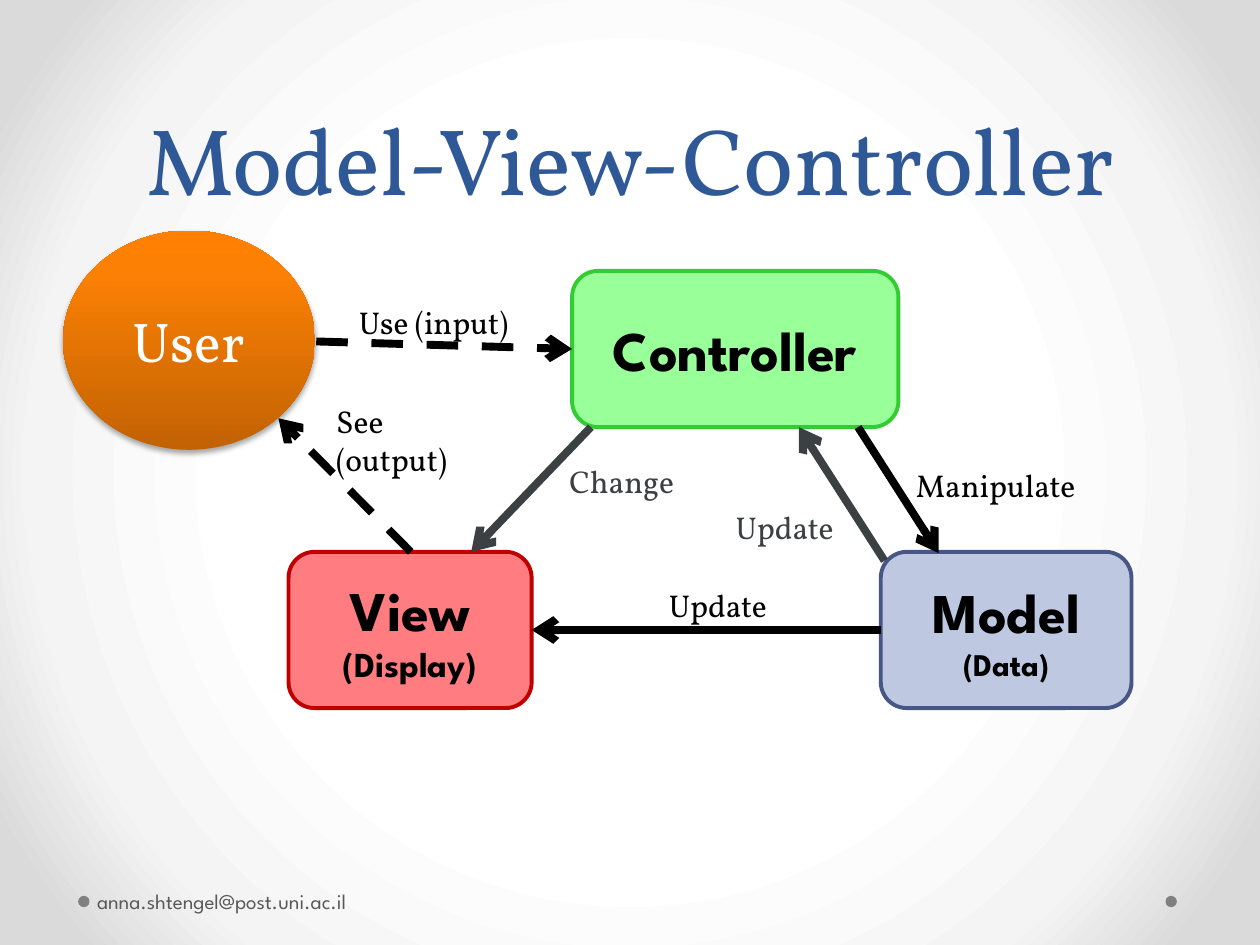
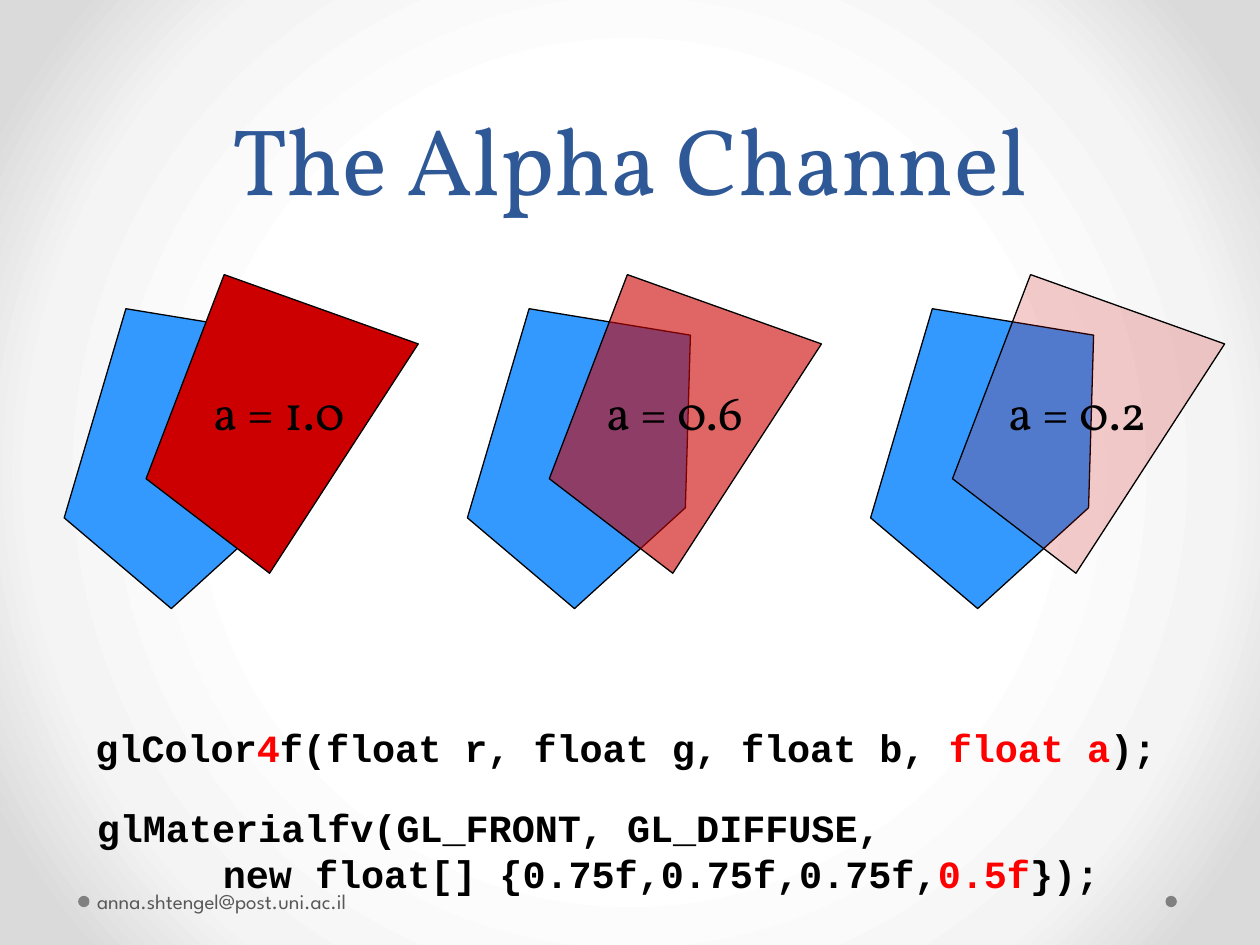
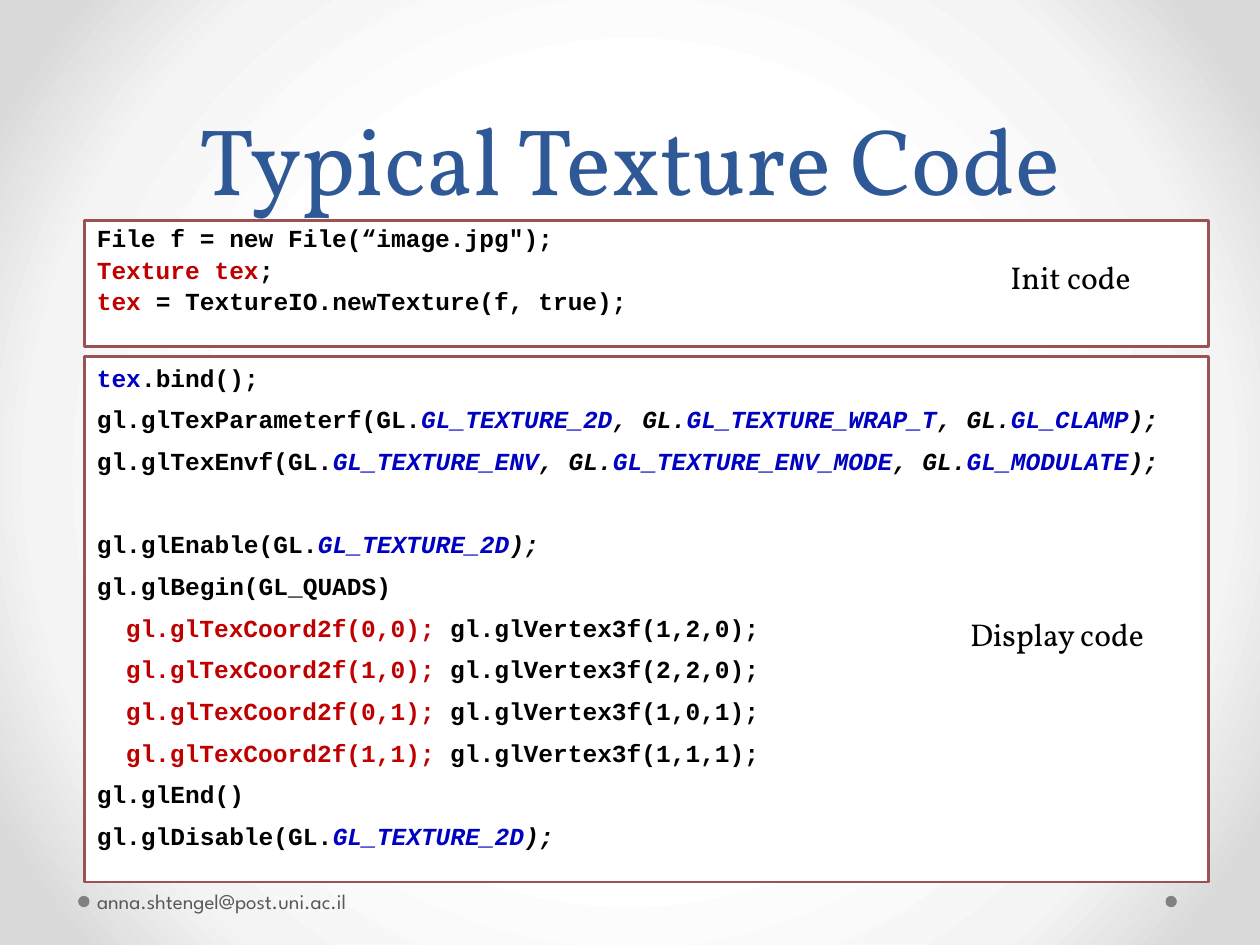
import pptx
import pptx.dml.color
import pptx.enum.dml
import pptx.enum.shapes
import pptx.enum.text
import pptx.oxml
import pptx.oxml.ns
import pptx.util
from lxml import etree

Inches = pptx.util.Inches
Pt = pptx.util.Pt
RGB = pptx.dml.color.RGBColor.from_string
qn = pptx.oxml.ns.qn
KIND = pptx.enum.shapes.MSO_SHAPE
LINK = pptx.enum.shapes.MSO_CONNECTOR.STRAIGHT
DASH = pptx.enum.dml.MSO_LINE.DASH
ALIGN = pptx.enum.text.PP_ALIGN
ANCHOR = pptx.enum.text.MSO_ANCHOR

INK = {
    "black": "000000", "white": "FFFFFF", "title": "2F5897", "foot": "595959",
    "dot": "808080", "slate": "3B4042", "red": "FF0000", "brick": "C00000",
    "navy": "0000C0", "frame": "9C5252", "sky": "3399FF", "ruby": "CC0000",
    "model": "BFC8E1", "model edge": "475785", "view": "FF7C80",
    "control": "99FF99", "control edge": "33CC33",
    "pale": "F4F4F4", "grey": "DADADA",
    "rust": "C26203", "orange": "FB8004", "bright": "FF8002",
}
SERIF, SANS, CODE = "Vollkorn", "League Spartan", "Courier New"


def write(shape, lines, size, face=SERIF, ink="black", bold=False, align=ALIGN.LEFT):
    """Each line is a string or (tone, string); parts between ~ take the tone.

    After plain code, navy constants turn the rest of the line italic."""
    frame = shape.text_frame
    for k, line in enumerate(lines):
        tone, text = (ink, line) if isinstance(line, str) else line
        para = frame.paragraphs[0] if k == 0 else frame.add_paragraph()
        para.alignment = align
        para.font.size = Pt(size)
        para.font.name = face
        para.font.bold = bold
        parts = text.split("~")
        for n, part in enumerate(parts):
            if part:
                run = para.add_run()
                run.text = part
                run.font.color.rgb = RGB(INK[tone if n % 2 else ink])
                if n and parts[0] and tone == "navy":
                    run.font.italic = True
    return frame


def shade(node, stops, aim):
    """Give the first gradient in node these stops and this direction element."""
    grad = next(node.iter(qn("a:gradFill")))
    grad.clear()
    row = etree.SubElement(grad, qn("a:gsLst"))
    for pos, ink in stops:
        stop = etree.SubElement(row, qn("a:gs"), pos=str(pos * 1000))
        etree.SubElement(stop, qn("a:srgbClr"), val=INK[ink])
    grad.append(pptx.oxml.parse_xml(aim))


NS = pptx.oxml.ns.nsdecls("a")
deck = pptx.Presentation()
deck.slide_width, deck.slide_height = Inches(10), Inches(7.5)

# Shared background, titles, dots and footers
master = deck.slide_master
master.background.fill.gradient()
shade(master.element, [(50, "white"), (76, "pale"), (92, "grey")],
      f'<a:path {NS} path="circle"><a:fillToRect l="50000" t="50000" r="50000" b="50000"/></a:path>')

slides = []
for title in ["Model-View-Controller", "The Alpha Channel", "Typical Texture Code"]:
    slide = deck.slides.add_slide(deck.slide_layouts[6])
    slides.append(slide)
    for x in (9.25, 0.62):
        dot = slide.shapes.add_shape(KIND.OVAL, Inches(x), Inches(7.11), Inches(0.09), Inches(0.09))
        dot.shadow.inherit = False
        dot.fill.solid()
        dot.fill.fore_color.rgb = RGB(INK["dot"])
        dot.line.fill.background()
    head = slide.shapes.add_textbox(Inches(0.5), 0, Inches(9), Inches(1.75))
    frame = write(head, [title], 54, ink="title", align=ALIGN.CENTER)
    frame.word_wrap = True
    frame.vertical_anchor = ANCHOR.BOTTOM
    frame.paragraphs[0].line_spacing = Pt(58)
    foot = slide.shapes.add_textbox(Inches(0.72), Inches(6.95), Inches(3.11), Inches(0.4))
    frame = write(foot, ["anna.shtengel@post.uni.ac.il"], 12, SANS, "foot")
    frame.word_wrap = True
    frame.vertical_anchor = ANCHOR.MIDDLE
    frame.margin_left = Inches(0.05)
mvc, alpha, code = [slide.shapes for slide in slides]

# Slide 1: boxes, user, arrows and their labels
for x, y, w, fill, edge, lines, sub in [
    (6.99, 4.38, 1.99, "model", "model edge", ["Model", "(Data)"], 18),
    (2.29, 4.38, 1.93, "view", "brick", ["View", "(Display)"], 20),
    (4.54, 2.15, 2.59, "control", "control edge", ["Controller"], 32),
]:
    box = mvc.add_shape(KIND.ROUNDED_RECTANGLE, Inches(x), Inches(y), Inches(w), Inches(1.24))
    box.shadow.inherit = False
    box.fill.solid()
    box.fill.fore_color.rgb = RGB(INK[fill])
    box.line.color.rgb = RGB(INK[edge])
    box.line.width = Pt(2.25)
    frame = write(box, lines, 32, SANS, bold=True, align=ALIGN.CENTER)
    frame.vertical_anchor = ANCHOR.MIDDLE
    frame.paragraphs[-1].font.size = Pt(sub)

user = mvc.add_shape(KIND.OVAL, Inches(0.5), Inches(1.83), Inches(2), Inches(1.74))
user.line.fill.background()
user.fill.gradient()
shade(user.element, [(0, "rust"), (80, "orange"), (100, "bright")],
      f'<a:lin {NS} ang="16200000" scaled="0"/>')
user.element.spPr.append(pptx.oxml.parse_xml(
    f'<a:effectLst {NS}><a:outerShdw blurRad="{Pt(3.1)}" dist="{Pt(1.8)}" dir="5400000" rotWithShape="0">'
    '<a:srgbClr val="000000"><a:alpha val="35000"/></a:srgbClr></a:outerShdw></a:effectLst>'))
write(user, ["User"], 32, ink="white", align=ALIGN.CENTER).vertical_anchor = ANCHOR.MIDDLE

for x1, y1, x2, y2, ink, dash in [
    (6.99, 5, 4.22, 5, "black", None),
    (6.81, 3.39, 7.45, 4.39, "black", None),
    (2.51, 2.71, 4.54, 2.77, "black", DASH),
    (3.26, 4.38, 2.21, 3.32, "black", DASH),
    (4.69, 3.39, 3.74, 4.38, "slate", None),
    (7.02, 4.45, 6.34, 3.39, "slate", None),
]:
    link = mvc.add_connector(LINK, Inches(x1), Inches(y1), Inches(x2), Inches(y2))
    link.line.color.rgb = RGB(INK[ink])
    link.line.width = Pt(4.5)
    if dash:
        link.line.dash_style = dash
    etree.SubElement(link.line._get_or_add_ln(), qn("a:tailEnd"), type="arrow")
    etree.SubElement(link.element.spPr, qn("a:effectLst"))

for text, x, y, w, h, ink, align in [
    ("Manipulate", 7.17, 3.65, 2.05, 0.4, "black", ALIGN.LEFT),
    ("Update", 5.21, 4.6, 1.28, 0.4, "black", ALIGN.LEFT),
    ("Use (input)", 2.75, 2.36, 1.58, 0.4, "black", ALIGN.LEFT),
    ("See (output)", 2.57, 3.14, 1.39, 0.71, "black", ALIGN.LEFT),
    ("Change", 4.42, 3.62, 2.05, 0.4, "slate", ALIGN.LEFT),
    ("Update", 5.74, 3.98, 1.28, 0.4, "slate", ALIGN.LEFT),
]:
    label = mvc.add_textbox(Inches(x), Inches(y), Inches(w), Inches(h))
    write(label, [text], 18, ink=ink, align=align).word_wrap = True

# Slide 2: the same pair of outlines at three opacities
BACK = [(0.51, 4.11), (1, 2.45), (2.28, 2.66), (2.24, 4.03), (1.36, 4.83)]
FRONT = [(2.14, 4.55), (1.16, 3.8), (1.78, 2.18), (3.32, 2.73)]
for k, (level, left) in enumerate([(1.0, 1.48), (0.6, 1.42), (0.2, 1.42)]):
    shift = 3.2 * k
    group = alpha.add_group_shape().shapes
    for points, ink, part in [(BACK, "sky", 1), (FRONT, "ruby", level)]:
        spots = [(Inches(x + shift), Inches(y)) for x, y in points]
        pen = group.build_freeform(*spots[0])
        pen.add_line_segments(spots[1:], close=True)
        poly = pen.convert_to_shape()
        poly.shadow.inherit = False
        poly.fill.solid()
        poly.fill.fore_color.rgb = RGB(INK[ink])
        poly.line.color.rgb = RGB(INK["black"])
        poly.line.width = Pt(0.75)
        if part < 1:
            tint = next(poly.element.spPr.iter(qn("a:srgbClr")))
            etree.SubElement(tint, qn("a:alpha"), val=str(round(part * 100000)))
    label = group.add_textbox(Inches(left + shift), Inches(2.98), Inches(1.47), Inches(0.57))
    write(label, [f"a = {level}"], 28, align=ALIGN.CENTER).word_wrap = True

for x, y, w, h, lines in [
    (0.66, 5.7, 8.67, 0.47, [("red", "glColor~4~f(float r, float g, float b, ~float a~);")]),
    (0.67, 6.33, 9.42, 0.84, ["glMaterialfv(GL_FRONT, GL_DIFFUSE,",
                              ("red", "new float[] {0.75f,0.75f,0.75f,~0.5f~});")]),
]:
    call = alpha.add_textbox(Inches(x), Inches(y), Inches(w), Inches(h))
    frame = write(call, lines, 22, CODE, bold=True)
    frame.word_wrap = True
    for para in frame.paragraphs[1:]:
        para._p.get_or_add_pPr().set("marL", str(Inches(1)))

# Slide 3: framed code with captions
INIT = ["File f = new File(“image.jpg\");",
        ("brick", "~Texture tex~;"),
        ("brick", "~tex~ = TextureIO.newTexture(f, true);")]
QUAD = [("0,0", "1,2,0"), ("1,0", "2,2,0"), ("0,1", "1,0,1"), ("1,1", "1,1,1")]
SHOW = [("navy", "~tex~.bind();"),
        ("navy", "gl.glTexParameterf(GL.~GL_TEXTURE_2D~, GL.~GL_TEXTURE_WRAP_T~, GL.~GL_CLAMP~);"),
        ("navy", "gl.glTexEnvf(GL.~GL_TEXTURE_ENV~, GL.~GL_TEXTURE_ENV_MODE~, GL.~GL_MODULATE~);"),
        ("navy", "gl.glEnable(GL.~GL_TEXTURE_2D~);"),
        "gl.glBegin(GL_QUADS)",
        *[("brick", f"~gl.glTexCoord2f({uv});~ gl.glVertex3f({xyz});") for uv, xyz in QUAD],
        "gl.glEnd()",
        ("navy", "gl.glDisable(GL.~GL_TEXTURE_2D~);")]
for y, h, lines, gap, pitch, text, x, top, w in [
    (1.75, 1, INIT, 2.8, 0.9, "Init code", 7.92, 2, 1.16),
    (2.83, 4.17, SHOW, 7, 1, "Display code", 7.6, 4.83, 1.65),
]:
    panel = code.add_shape(KIND.RECTANGLE, Inches(0.67), Inches(y), Inches(8.92), Inches(h))
    panel.shadow.inherit = False
    panel.fill.solid()
    panel.fill.fore_color.rgb = RGB(INK["white"])
    panel.line.color.rgb = RGB(INK["frame"])
    panel.line.width = Pt(1.5)
    frame = write(panel, lines, 14, CODE, bold=True)
    frame.vertical_anchor = ANCHOR.TOP
    for para in frame.paragraphs:
        para.space_before = Pt(gap)
        para.line_spacing = pitch
        if para.text.startswith("gl.glEnable"):
            para.space_before = Pt(30.8)
        if para.text.startswith("gl.glTexCoord"):
            para._p.get_or_add_pPr().set("marL", str(Inches(0.23)))
    label = code.add_textbox(Inches(x), Inches(top), Inches(w), Inches(0.4))
    write(label, [text], 18)

deck.save("out.pptx")
